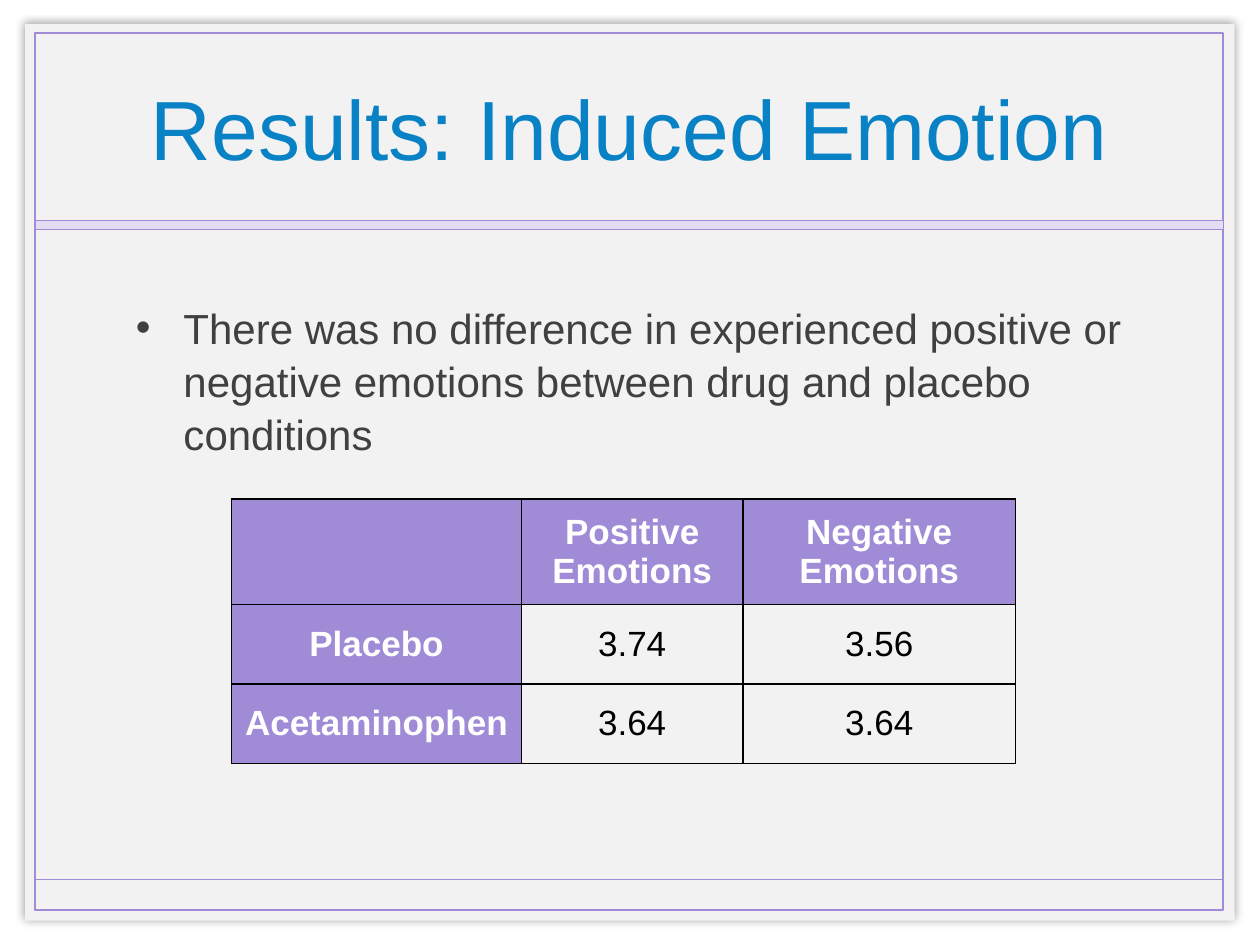
import pptx
import pptx.dml.color
import pptx.enum.shapes
import pptx.enum.text
import pptx.oxml
import pptx.oxml.ns
import pptx.util
from dataclasses import dataclass
from lxml import etree

Cm = pptx.util.Cm
Pt = pptx.util.Pt
qn = pptx.oxml.ns.qn
Align = pptx.enum.text.PP_ALIGN
Anchor = pptx.enum.text.MSO_ANCHOR
NAMESPACE = pptx.oxml.ns.nsdecls("a")


@dataclass(frozen=True)
class Theme:
    font: str = "Arial"
    paper: str = "F2F2F2"
    accent: str = "A08BD6"
    band: str = "E2DDF3"
    title: str = "0881C5"
    body: str = "404040"
    white: str = "FFFFFF"
    black: str = "000000"
    title_size: int = 48
    body_size: int = 24
    table_size: int = 20


def color(code):
    return pptx.dml.color.RGBColor.from_string(code)


class SlideBuilder:
    def __init__(self, page, theme):
        self.page = page
        self.theme = theme

    def style(self, para, size, code, bold=False):
        font = para.font
        font.name, font.size, font.bold = self.theme.font, Pt(size), bold
        font.color.rgb = color(code)

    def panel(self, left, top, width, height, fill=None, line=None, weight=1):
        shape = self.page.shapes.add_shape(
            pptx.enum.shapes.MSO_SHAPE.RECTANGLE,
            Cm(left), Cm(top), Cm(width), Cm(height))
        shape.shadow.inherit = False
        if fill:
            shape.fill.solid()
            shape.fill.fore_color.rgb = color(fill)
        else:
            shape.fill.background()
        if line:
            shape.line.color.rgb = color(line)
            shape.line.width = Pt(weight)
        else:
            shape.line.fill.background()
        return shape

    def glow_shadow(self, shape, blur, opacity):
        effects = shape.element.spPr.find(qn("a:effectLst"))
        effects.append(pptx.oxml.parse_xml(
            f'<a:outerShdw {NAMESPACE} blurRad="{Pt(blur)}" dist="0" dir="0" '
            f'algn="ctr" rotWithShape="0"><a:srgbClr val="{self.theme.black}">'
            f'<a:alpha val="{opacity * 1000}"/></a:srgbClr></a:outerShdw>'))

    def rule(self, left, right, y):
        line = self.page.shapes.add_connector(
            pptx.enum.shapes.MSO_CONNECTOR.STRAIGHT,
            Cm(left), Cm(y), Cm(right), Cm(y))
        line.line.color.rgb = color(self.theme.accent)
        line.line.width = Pt(1)
        etree.SubElement(line.element.spPr, qn("a:effectLst"))

    def text(self, words, left, top, width, height, size, code,
             align=Align.LEFT, anchor=Anchor.TOP, bullet=False):
        box = self.page.shapes.add_textbox(Cm(left), Cm(top), Cm(width), Cm(height))
        frame = box.text_frame
        frame.word_wrap = True
        frame.vertical_anchor = anchor
        para = frame.paragraphs[0]
        para.text = words
        para.alignment = align
        if bullet:
            self.bullet(para, code)
            para.line_spacing = 1.05
        self.style(para, size, code)

    def bullet(self, para, code):
        props = para._p.get_or_add_pPr()
        indent = Cm(0.96)
        props.set("marL", str(indent))
        props.set("indent", str(-indent))
        for xml in (
            f'<a:buClr {NAMESPACE}><a:srgbClr val="{code}"/></a:buClr>',
            f'<a:buFont {NAMESPACE} typeface="{self.theme.font}"/>',
            f'<a:buChar {NAMESPACE} char="•"/>',
        ):
            props.append(pptx.oxml.parse_xml(xml))

    def table(self, rows, left, top, widths, heights):
        table = self.page.shapes.add_table(
            len(rows), len(widths), Cm(left), Cm(top),
            Cm(sum(widths)), Cm(sum(heights))).table
        for column, width in zip(table.columns, widths):
            column.width = Cm(width)
        for row, height in zip(table.rows, heights):
            row.height = Cm(height)
        for r, values in enumerate(rows):
            for c, value in enumerate(values):
                self.cell(table.cell(r, c), value, header=r == 0 or c == 0)

    def cell(self, cell, value, header):
        theme = self.theme
        cell.vertical_anchor = Anchor.MIDDLE
        para = cell.text_frame.paragraphs[0]
        para.text = value
        para.alignment = Align.CENTER
        self.style(para, theme.table_size,
                   theme.white if header else theme.black, bold=header)
        # Borders come before the fill in the cell properties
        props = cell._tc.get_or_add_tcPr()
        for side in ("lnL", "lnR", "lnT", "lnB"):
            props.append(pptx.oxml.parse_xml(
                f'<a:{side} {NAMESPACE} w="{Pt(1)}"><a:solidFill>'
                f'<a:srgbClr val="{theme.black}"/></a:solidFill></a:{side}>'))
        if header:
            cell.fill.solid()
            cell.fill.fore_color.rgb = color(theme.accent)
        else:
            cell.fill.background()


def main():
    deck = pptx.Presentation()
    deck.slide_width, deck.slide_height = Cm(25.4), Cm(19.05)
    theme = Theme()
    builder = SlideBuilder(deck.slides.add_slide(deck.slide_layouts[6]), theme)

    # Page frame
    left, width = 0.71, 23.95
    paper = builder.panel(0.51, 0.48, 24.38, 18.08, fill=theme.paper)
    builder.glow_shadow(paper, blur=5, opacity=40)
    builder.panel(left, 0.66, width, 17.68, line=theme.accent)
    builder.rule(left, left + width, 17.73)
    builder.panel(left, 4.45, width, 0.18, fill=theme.band,
                  line=theme.accent, weight=0.25)

    # Title and finding
    builder.text("Results: Induced Emotion", 2.49, 0.69, 20.4, 3.73,
                 theme.title_size, theme.title, Align.CENTER, Anchor.MIDDLE)
    builder.text("There was no difference in experienced positive or negative "
                 "emotions between drug and placebo conditions",
                 2.49, 5.92, 20.4, 10.92, theme.body_size, theme.body, bullet=True)

    # Mean emotion ratings
    builder.table([
        ["", "Positive Emotions", "Negative Emotions"],
        ["Placebo", "3.74", "3.56"],
        ["Acetaminophen", "3.64", "3.64"],
    ], 4.67, 10.06, widths=[5.84, 4.47, 5.49], heights=[2.13, 1.6, 1.6])

    deck.save("out.pptx")


if __name__ == "__main__":
    main()
